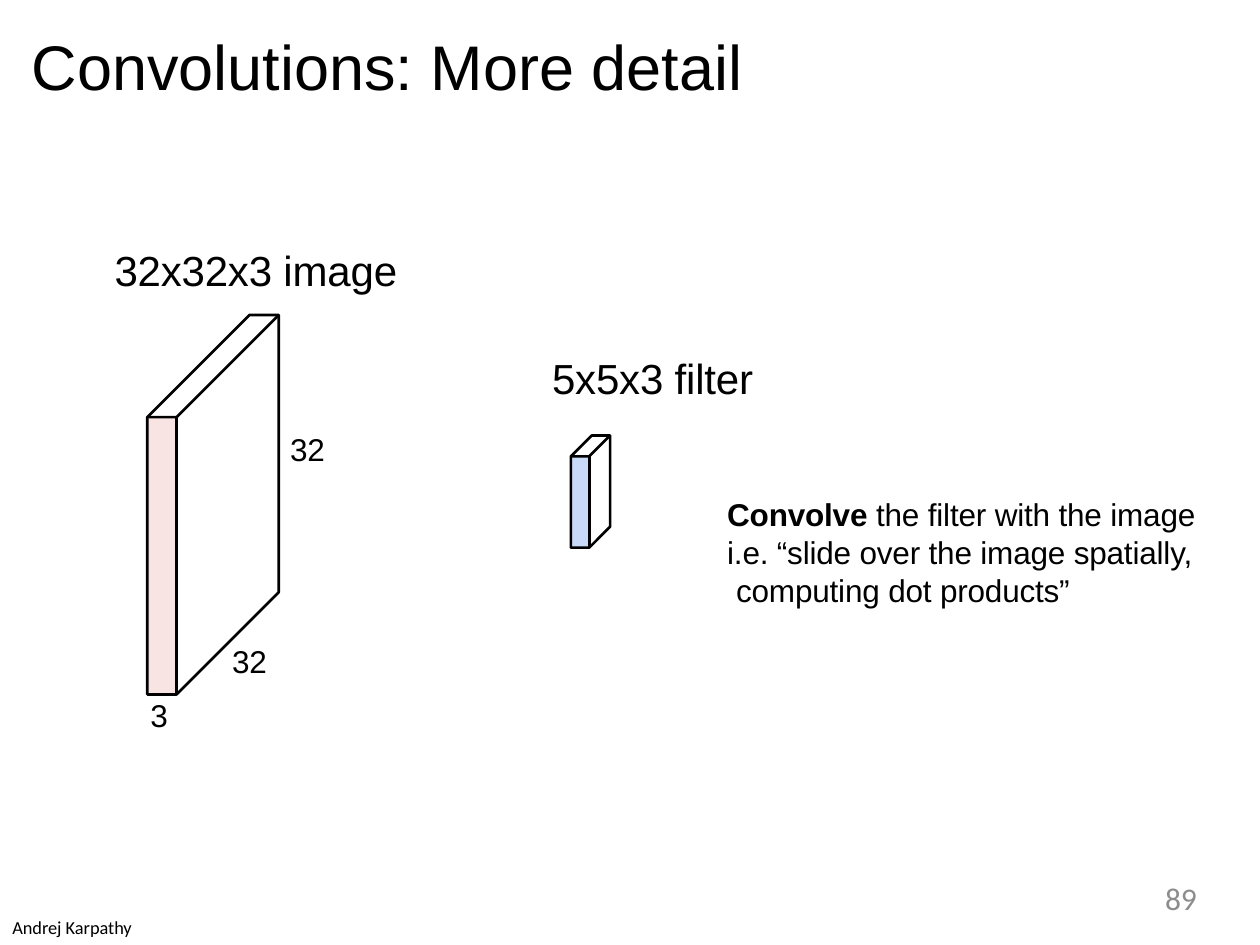
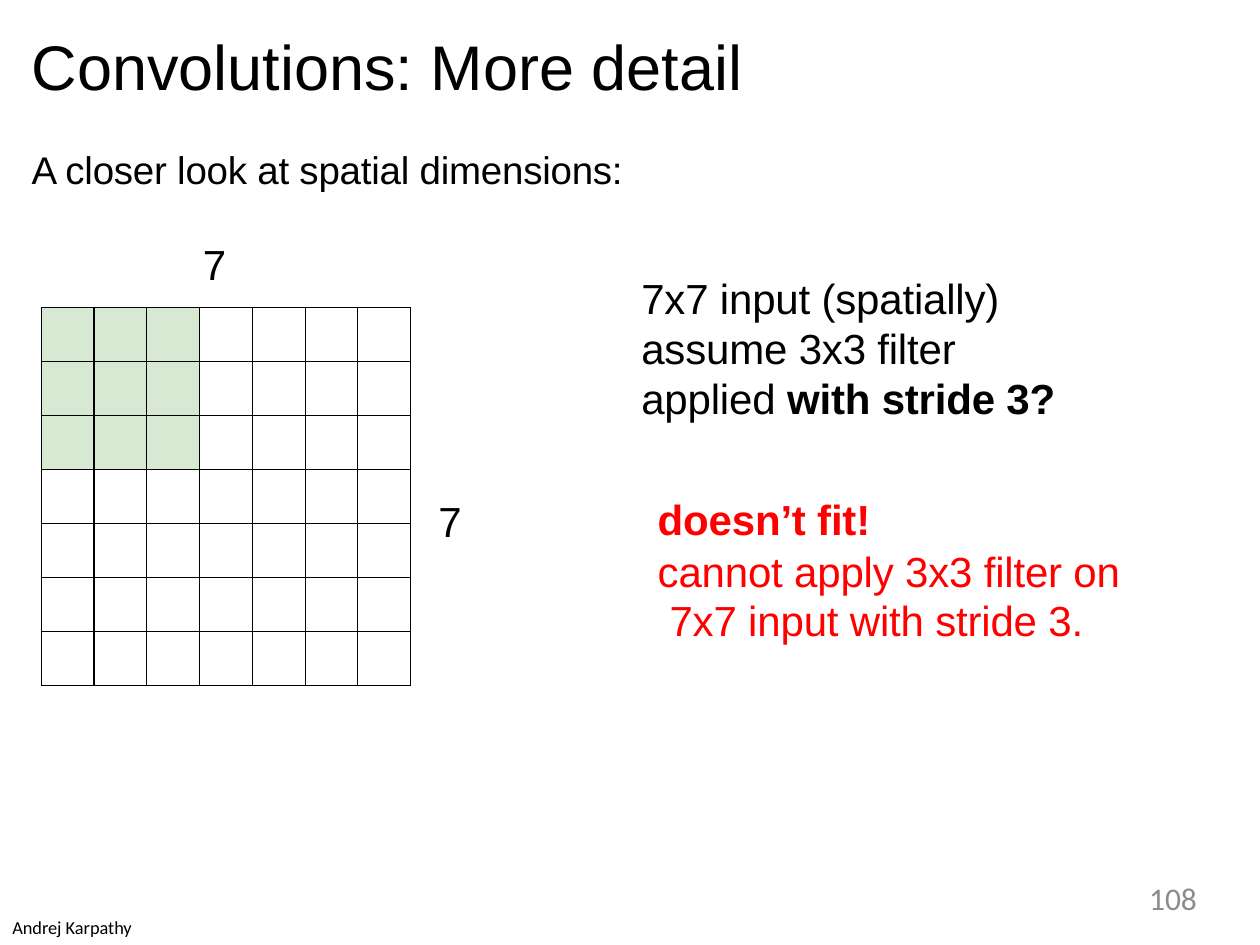
from lxml.etree import SubElement
from pptx import Presentation
from pptx.dml.color import RGBColor
from pptx.enum.shapes import MSO_CONNECTOR
from pptx.enum.text import PP_ALIGN
from pptx.oxml.ns import qn
from pptx.util import Cm, Pt

BLACK, RED, GREY = "000000", "FF0000", "8C8C8C"
PINK, BLUE, GREEN = "F9E4E4", "C8DAF7", "D8E9D3"
ink = RGBColor.from_string


# Parts between ** marks are bold; hang indents wrapped lines of the last paragraph
def write(page, x, y, w, h, lines, size, color=BLACK, face="Arial",
          align=PP_ALIGN.LEFT, lead=None, hang=0, tight=-10):
    frame = page.shapes.add_textbox(Cm(x), Cm(y), Cm(w), Cm(h)).text_frame
    frame.word_wrap = True
    frame.margin_left = frame.margin_right = 0
    frame.margin_top = frame.margin_bottom = 0
    for i, line in enumerate(lines):
        para = frame.paragraphs[0] if i == 0 else frame.add_paragraph()
        para.alignment = align
        if lead:
            para.line_spacing = Pt(lead)
            if i:
                para.space_before = Pt(1)
        for j, part in enumerate(line.split("**")):
            if part:
                run = para.add_run()
                run.text = part
                if j % 2:
                    run.font.bold = True
                if tight:
                    run.font._element.set("spc", str(tight))
        font = para.font
        font.name, font.size = face, Pt(size)
        font.color.rgb = ink(color)
    if hang:
        props = para._p.get_or_add_pPr()
        props.set("marL", str(Cm(hang)))
        props.set("indent", str(-Cm(hang)))


def trace(page, points, fill=None, close=True):
    spots = [(Cm(x), Cm(y)) for x, y in points]
    pen = page.shapes.build_freeform(*spots[0])
    pen.add_line_segments(spots[1:], close=close)
    shape = pen.convert_to_shape()
    shape.shadow.inherit = False
    if fill:
        shape.fill.solid()
        shape.fill.fore_color.rgb = ink(fill)
        shape.line.fill.background()
    else:
        shape.fill.background()
        shape.line.color.rgb = ink(BLACK)
        shape.line.width = Pt(1.5)


deck = Presentation()
deck.slide_width, deck.slide_height = Cm(25.4), Cm(19.05)

# Shared title, credit and page number
pages = []
for number in ("89", "108"):
    page = deck.slides.add_slide(deck.slide_layouts[6])
    write(page, 0.64, 0.56, 24.15, 1.55, ["Convolutions: More detail"], 36, tight=0)
    write(page, 0.25, 18.47, 2.8, 0.5, ["Andrej Karpathy"], 10.5,
          face="Calibri", tight=0)
    write(page, 18.29, 17.73, 5.84, 0.76, [number], 18, GREY, "Calibri",
          PP_ALIGN.RIGHT, tight=0)
    pages.append(page)
first, second = pages

# Image and filter blocks: left, top, width, height, depth of the front face
for x, y, w, h, d, fill in ((2.97, 8.41, 0.59, 5.59, 2.06, PINK),
                            (11.51, 9.2, 0.37, 1.84, 0.42, BLUE)):
    right, low = x + w, y + h
    trace(first, [(x, y), (right, y), (right, low), (x, low)], fill)
    trace(first, [(x, y), (x + d, y - d), (right + d, y - d),
                  (right + d, low - d), (right, low), (x, low)])
    trace(first, [(x, y), (right, y), (right + d, y - d)], close=False)
    edge = first.shapes.add_connector(MSO_CONNECTOR.STRAIGHT, Cm(right), Cm(y),
                                      Cm(right), Cm(low))
    edge.line.color.rgb = ink(BLACK)
    edge.line.width = Pt(1.5)
    SubElement(edge._element.spPr, qn("a:effectLst"))

# Block labels
for x, y, w, label, size in ((4.68, 12.95, 0.85, "32", 18),
                             (5.85, 8.66, 0.85, "32", 18),
                             (3.03, 14.03, 0.5, "3", 18),
                             (11.13, 7.11, 4.5, "5x5x3 filter", 24),
                             (2.31, 4.93, 6.1, "32x32x3 image", 24)):
    write(first, x, y, w, size / 23, [label], size)
write(first, 14.66, 9.98, 9.62, 2.34,
      ["**Convolve** the filter with the image",
       "i.e. “slide over the image spatially, computing dot products”"],
      18, hang=0.18)

# Input grid with the filter at its top left
write(second, 0.64, 2.95, 24.15, 0.94, ["A closer look at spatial dimensions:"], 22)
count, reach = 7, 3
grid = second.shapes.add_table(count, count, Cm(0.83), Cm(6.2),
                               Cm(7.45), Cm(7.62)).table
grid.first_row = grid.horz_banding = False
for r in range(count):
    for c in range(count):
        cell = grid.cell(r, c)
        props = cell._tc.get_or_add_tcPr()
        for side in ("lnL", "lnR", "lnT", "lnB"):
            rule = SubElement(props, qn(f"a:{side}"), w=str(Pt(0.75)))
            paint = SubElement(rule, qn("a:solidFill"))
            SubElement(paint, qn("a:srgbClr"), val=BLACK)
        if r < reach and c < reach:
            cell.fill.solid()
            cell.fill.fore_color.rgb = ink(GREEN)
        else:
            cell.fill.background()

# Grid sizes and remarks
for x, y in ((4.09, 4.8), (8.84, 9.98)):
    write(second, x, y, 0.55, 1.04, ["7"], 24)
write(second, 12.93, 5.51, 8.5, 3.1,
      ["7x7 input (spatially) assume 3x3 filter applied **with stride 3?**"],
      24, lead=28.5)
write(second, 13.26, 9.96, 9.5, 3.12,
      ["**doesn’t fit!**", "cannot apply 3x3 filter on 7x7 input with stride 3."],
      24, RED, lead=28.5, hang=0.24)

deck.save("out.pptx")
